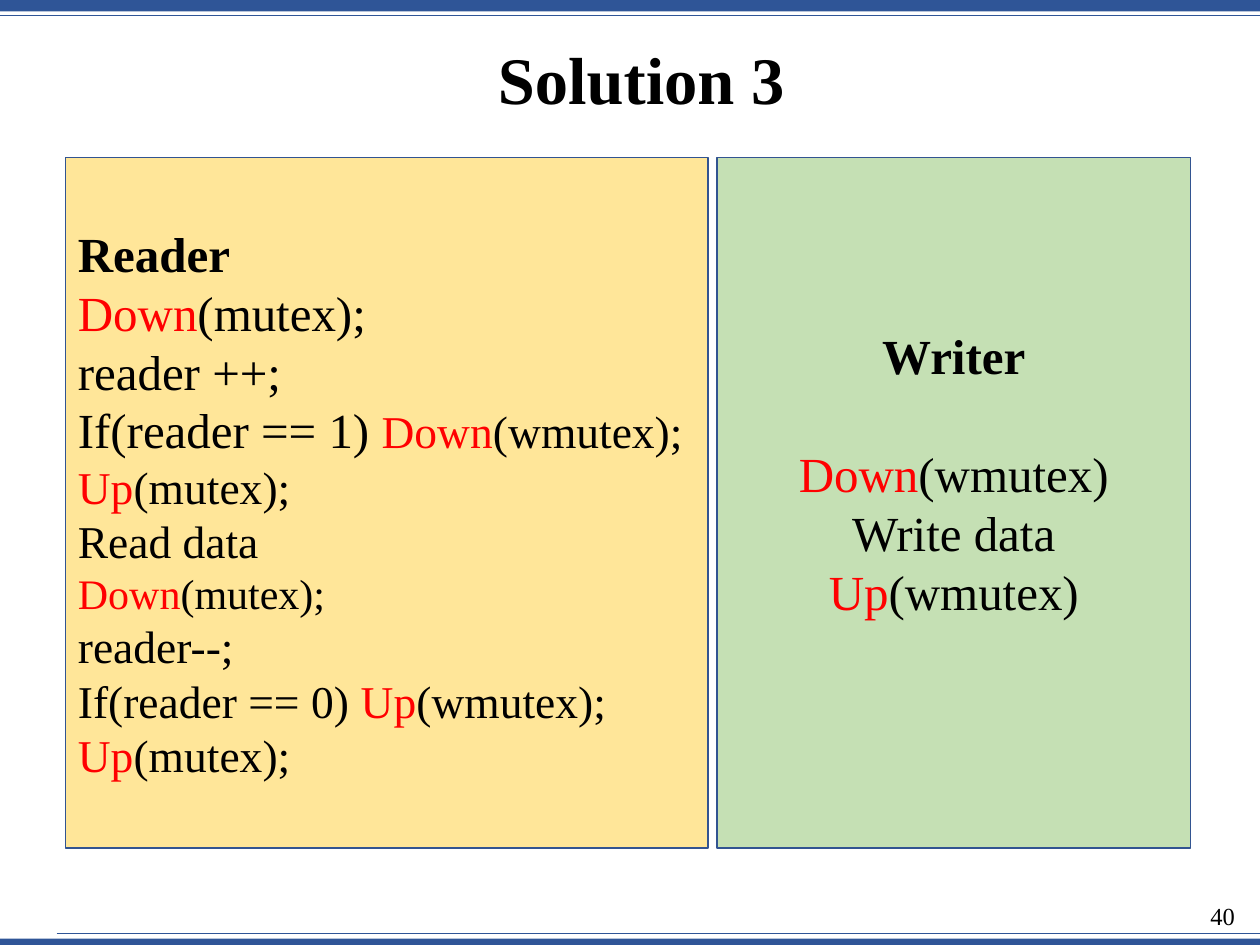
from lxml import etree
from pptx import Presentation
from pptx.dml.color import RGBColor
from pptx.enum.shapes import MSO_CONNECTOR, MSO_SHAPE
from pptx.enum.text import MSO_ANCHOR, PP_ALIGN
from pptx.oxml.ns import qn
from pptx.util import Inches, Pt

BAR_BLUE = RGBColor(0x2F, 0x55, 0x97)
PANEL_EDGE = RGBColor(0x32, 0x54, 0x91)
READER_YELLOW = RGBColor(0xFF, 0xE6, 0x99)
WRITER_GREEN = RGBColor(0xC5, 0xE0, 0xB4)
BLACK = RGBColor(0, 0, 0)
RED = RGBColor(0xFF, 0, 0)

FONT_NAME = "Times New Roman"
SEMAPHORE_CALLS = ("Down", "Up")
PANEL_TOP, PANEL_HEIGHT = 1.25, 5.48
WRITER_LINE = 0.47  # height of one 28 pt line, in inches

# Each line is a list of (text, size) pieces.
READER_LINES = [
    [("Reader", 28)],
    [("Down", 28), ("(mutex);", 28)],
    [("reader ++;", 28)],
    [("If(reader == 1) ", 28), ("Down", 26), ("(wmutex);", 26)],
    [("Up", 26), ("(mutex);", 26)],
    [("Read data", 26)],
    [("Down", 24), ("(mutex);", 24)],
    [("reader--;", 26)],
    [("If(reader == 0) ", 26), ("Up", 26), ("(wmutex);", 26)],
    [("Up", 26), ("(mutex);", 26)],
]
WRITER_LINES = [
    [("Writer", 28)],
    [("Down", 28), ("(wmutex)", 28)],
    [("Write data", 28)],
    [("Up", 28), ("(wmutex)", 28)],
]


def style_font(font, size, color=BLACK, bold=False):
    font.name = FONT_NAME
    font.size = Pt(size)
    font.bold = bold
    font.color.rgb = color


def add_bar(slide, top, height):
    bar = slide.shapes.add_shape(
        MSO_SHAPE.RECTANGLE, 0, Inches(top), Inches(10), Inches(height))
    bar.shadow.inherit = False
    bar.fill.solid()
    bar.fill.fore_color.rgb = BAR_BLUE
    bar.line.fill.background()


def add_rule(slide, left, y):
    rule = slide.shapes.add_connector(
        MSO_CONNECTOR.STRAIGHT, Inches(left), Inches(y), Inches(10), Inches(y))
    rule.line.color.rgb = BAR_BLUE
    rule.line.width = Pt(0.5)
    etree.SubElement(rule._element.spPr, qn("a:effectLst"))


def set_title(slide, text):
    title = slide.shapes.title
    title.left, title.top = Inches(0.84), Inches(0.23)
    title.width, title.height = Inches(8.5), Inches(0.86)
    frame = title.text_frame
    frame.text = text
    frame.vertical_anchor = MSO_ANCHOR.MIDDLE
    heading = frame.paragraphs[0]
    heading.alignment = PP_ALIGN.CENTER
    heading.line_spacing = 0.9
    style_font(heading.runs[0].font, 38, bold=True)


def add_page_number(slide, number):
    box = slide.shapes.add_textbox(
        Inches(9.36), Inches(7.1), Inches(0.54), Inches(0.4))
    frame = box.text_frame
    frame.word_wrap = True
    frame.text = number
    frame.paragraphs[0].alignment = PP_ALIGN.RIGHT
    style_font(frame.paragraphs[0].runs[0].font, 14)


def add_code_panel(slide, left, width, fill, lines, alignment):
    """Draw a panel with a bold first line and red semaphore calls."""
    panel = slide.shapes.add_shape(
        MSO_SHAPE.RECTANGLE, Inches(left), Inches(PANEL_TOP),
        Inches(width), Inches(PANEL_HEIGHT))
    panel.shadow.inherit = False
    panel.fill.solid()
    panel.fill.fore_color.rgb = fill
    panel.line.color.rgb = PANEL_EDGE
    panel.line.width = Pt(1)
    frame = panel.text_frame
    frame.word_wrap = True
    frame.vertical_anchor = MSO_ANCHOR.MIDDLE
    for index, pieces in enumerate(lines):
        paragraph = frame.add_paragraph() if index else frame.paragraphs[0]
        paragraph.alignment = alignment
        for text, size in pieces:
            run = paragraph.add_run()
            run.text = text
            color = RED if text in SEMAPHORE_CALLS else BLACK
            style_font(run.font, size, color, bold=index == 0)
    return frame


def main():
    prs = Presentation()
    prs.slide_width, prs.slide_height = Inches(10), Inches(7.5)
    slide = prs.slides.add_slide(prs.slide_layouts[5])

    add_bar(slide, 7.45, 0.05)
    add_bar(slide, 0, 0.09)
    add_rule(slide, 0, 0.12)
    add_rule(slide, 0.45, 7.41)
    add_page_number(slide, "40")
    set_title(slide, "Solution 3")

    writer = add_code_panel(
        slide, 5.69, 3.76, WRITER_GREEN, WRITER_LINES, PP_ALIGN.CENTER)
    writer.paragraphs[1].space_before = Inches(WRITER_LINE)
    writer.margin_bottom = Inches(0.05 + WRITER_LINE)
    add_code_panel(
        slide, 0.52, 5.1, READER_YELLOW, READER_LINES, PP_ALIGN.LEFT)

    prs.save("out.pptx")


if __name__ == "__main__":
    main()
